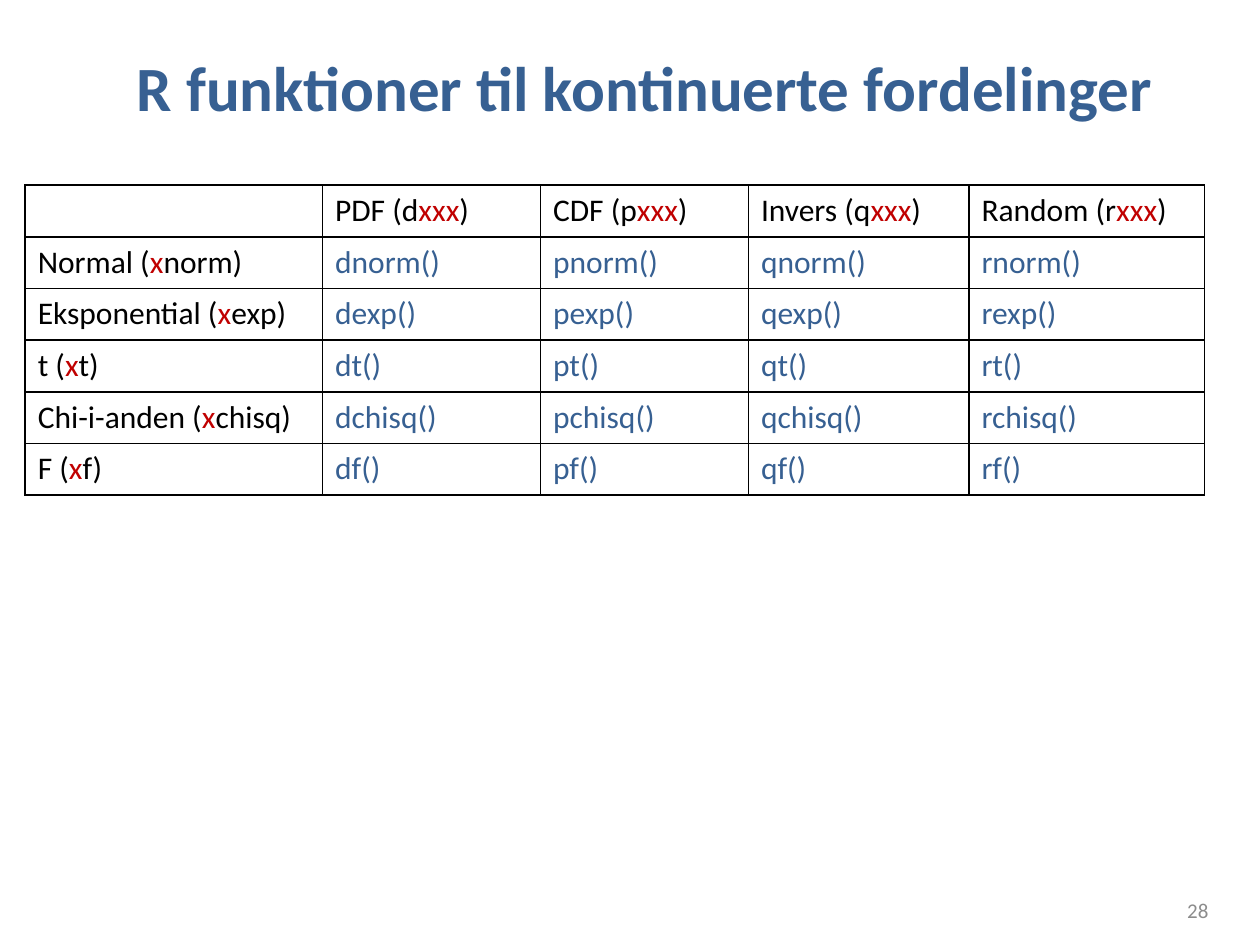
from dataclasses import dataclass

from lxml.etree import SubElement
from pptx import Presentation
from pptx.dml.color import RGBColor
from pptx.enum.text import MSO_ANCHOR, PP_ALIGN
from pptx.oxml.ns import qn
from pptx.util import Inches, Pt


@dataclass(frozen=True)
class Theme:
    face: str = "Calibri"
    ink: str = "000000"
    blue: str = "376092"
    red: str = "C00000"
    gray: str = "8C8C8C"
    title: int = 36
    body: int = 18
    small: int = 12
    rule: int = 1


class Deck:
    def __init__(self, theme):
        self.theme = theme
        self.file = Presentation()
        self.file.slide_width, self.file.slide_height = Inches(10), Inches(7.5)
        self.slide = self.file.slides.add_slide(self.file.slide_layouts[6])

    def style(self, para, size, color, bold=False):
        font = para.font
        font.name, font.size, font.bold = self.theme.face, Pt(size), bold
        font.color.rgb = RGBColor.from_string(color)

    def text(self, words, box, size, color, align, bold=False):
        frame = self.slide.shapes.add_textbox(*map(Inches, box)).text_frame
        frame.word_wrap = True
        frame.vertical_anchor = MSO_ANCHOR.MIDDLE
        para = frame.paragraphs[0]
        para.text, para.alignment = words, align
        self.style(para, size, color, bold)

    def border(self, cell):
        props = cell._tc.get_or_add_tcPr()
        for side in ("lnL", "lnR", "lnT", "lnB"):
            line = SubElement(props, qn(f"a:{side}"), w=str(Pt(self.theme.rule)))
            fill = SubElement(line, qn("a:solidFill"))
            SubElement(fill, qn("a:srgbClr"), val=self.theme.ink)

    def cell(self, cell, parts, color):
        """Write the parts in one paragraph; every second part is red."""
        self.border(cell)
        cell.fill.background()
        para = cell.text_frame.paragraphs[0]
        self.style(para, self.theme.body, color)
        for i, part in enumerate(parts):
            run = para.add_run()
            run.text = part
            if i % 2:
                run.font.color.rgb = RGBColor.from_string(self.theme.red)

    def table(self, rows, left, top, widths, height):
        box = (left, top, sum(widths), height * len(rows))
        grid = self.slide.shapes.add_table(
            len(rows), len(widths), *map(Inches, box)).table
        grid.first_row = grid.horz_banding = False
        for col, width in zip(grid.columns, widths):
            col.width = Inches(width)
        for r, row in enumerate(rows):
            grid.rows[r].height = Inches(height)
            for c, parts in enumerate(row):
                color = self.theme.blue if r and c else self.theme.ink
                self.cell(grid.cell(r, c), parts, color)


def main():
    theme = Theme()
    deck = Deck(theme)

    # Title
    deck.text("R funktioner til kontinuerte fordelinger", (0.51, 0.3, 9.21, 0.77),
              theme.title, theme.blue, PP_ALIGN.CENTER, bold=True)

    # Function table: each name is a kind prefix plus a stem
    kinds = [("PDF", "d"), ("CDF", "p"), ("Invers", "q"), ("Random", "r")]
    laws = [("Normal", "norm"), ("Eksponential", "exp"), ("t", "t"),
            ("Chi-i-anden", "chisq"), ("F", "f")]
    rows = [[[]] + [[f"{kind} ({key}", "xxx", ")"] for kind, key in kinds]]
    for law, stem in laws:
        calls = [[f"{key}{stem}()"] for _, key in kinds]
        rows.append([[f"{law} (", "x", f"{stem})"]] + calls)
    deck.table(rows, 0.2, 1.47, (2.36, 1.73, 1.65, 1.75, 1.87), 0.41)

    # Page number
    deck.text("28", (7.36, 7.06, 2.33, 0.32),
              theme.small, theme.gray, PP_ALIGN.RIGHT)

    deck.file.save("out.pptx")


if __name__ == "__main__":
    main()
